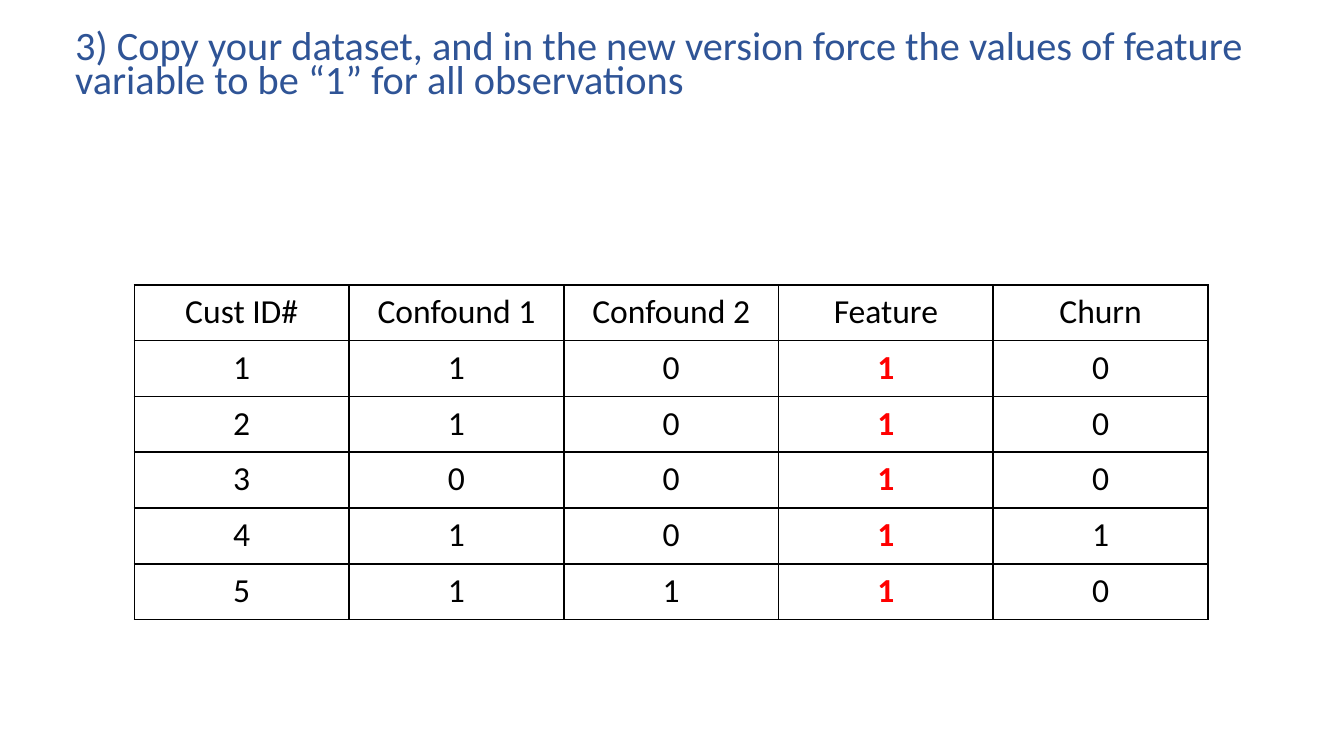
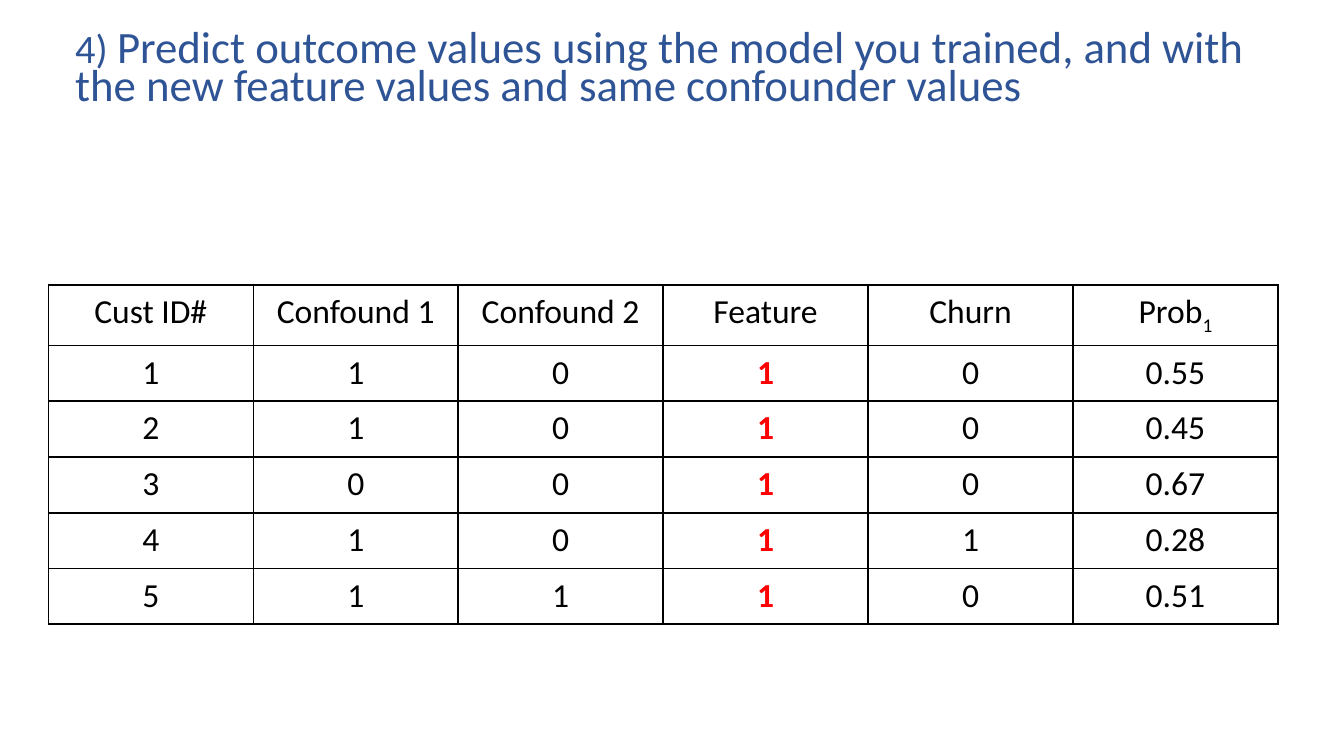
from lxml import etree
from pptx import Presentation
from pptx import util as u
from pptx.dml.color import RGBColor
from pptx.enum import text
from pptx.oxml import ns

# Shared style
SLIDE_WIDTH = 10
SLIDE_HEIGHT = SLIDE_WIDTH * 9 / 16
FONT = "Calibri"
TITLE_BLUE = "2F5496"
BLACK = "000000"
RED = "FF0000"
TITLE_SIZE = 21.6
CELL_SIZE = 18
BORDER_WIDTH = 0.96
TABLE_TOP = 2.12
ROW_HEIGHT = 2.49 / 6

# Data shared by both tables
HEADINGS = ["Cust ID#", "Confound 1", "Confound 2", "Feature", "Churn"]
CUSTOMERS = [
    ["1", "1", "0", "1", "0"],
    ["2", "1", "0", "1", "0"],
    ["3", "0", "0", "1", "0"],
    ["4", "1", "0", "1", "1"],
    ["5", "1", "1", "1", "0"],
]
FEATURE_COLUMN = HEADINGS.index("Feature")
PROBABILITIES = ["0.55", "0.45", "0.67", "0.28", "0.51"]


def colour(value):
    return RGBColor.from_string(value)


def add_span(para, words, size=CELL_SIZE, color=BLACK, bold=False, baseline=0):
    span = para.add_run()
    span.text = words
    span.font.name = FONT
    span.font.size = u.Pt(size)
    span.font.bold = bold
    span.font.color.rgb = colour(color)
    if baseline:
        span._r.get_or_add_rPr().set("baseline", str(baseline * 1000))
    return span


def add_title(page, *parts):
    """Each part is a pair of words and text size."""
    box = page.shapes.add_textbox(
        u.Inches(0.49), u.Inches(0.18), u.Inches(9.27), u.Inches(0.61))
    frame = box.text_frame
    frame.word_wrap = True
    frame.margin_left = frame.margin_right = u.Inches(0.07)
    frame.margin_top = frame.margin_bottom = u.Inches(0.07)
    para = frame.paragraphs[0]
    para.line_spacing = 0.7
    for words, size in parts:
        add_span(para, words, size=size, color=TITLE_BLUE)


def add_borders(cell):
    properties = cell._tc.get_or_add_tcPr()
    for index, side in enumerate(("lnL", "lnR", "lnT", "lnB")):
        line = etree.Element(ns.qn(f"a:{side}"), w=str(u.Pt(BORDER_WIDTH)))
        fill = etree.SubElement(line, ns.qn("a:solidFill"))
        etree.SubElement(fill, ns.qn("a:srgbClr"), val=BLACK)
        properties.insert(index, line)


def fill_cell(cell, words, subscript="", **style):
    cell.fill.background()
    cell.margin_left = cell.margin_right = u.Inches(0.07)
    cell.margin_top = cell.margin_bottom = u.Inches(0.05)
    para = cell.text_frame.paragraphs[0]
    para.alignment = text.PP_ALIGN.CENTER
    add_span(para, words, **style)
    if subscript:
        add_span(para, subscript, baseline=-25, **style)
    add_borders(cell)


def add_customer_table(page, left, width, height, headings, rows,
                       header_height=ROW_HEIGHT):
    """A heading may be a pair of words and subscript."""
    row_heights = [header_height] + [ROW_HEIGHT] * len(rows)
    holder = page.shapes.add_table(
        len(row_heights), len(headings), u.Inches(left), u.Inches(TABLE_TOP),
        u.Inches(width), u.Inches(height))
    table = holder.table
    table.first_row = table.horz_banding = False
    for column in table.columns:
        column.width = u.Inches(width / len(headings))
    for row, row_height in zip(table.rows, row_heights):
        row.height = u.Inches(row_height)
    holder.height = u.Inches(height)

    for c, heading in enumerate(headings):
        parts = (heading,) if isinstance(heading, str) else heading
        fill_cell(table.cell(0, c), *parts)
    for r, values in enumerate(rows, start=1):
        for c, value in enumerate(values):
            forced = c == FEATURE_COLUMN
            fill_cell(table.cell(r, c), value,
                      color=RED if forced else BLACK, bold=forced)


def main():
    deck = Presentation()
    deck.slide_width = u.Inches(SLIDE_WIDTH)
    deck.slide_height = u.Inches(SLIDE_HEIGHT)
    blank = deck.slide_layouts[6]

    # Step 3: force the feature to 1
    page = deck.slides.add_slide(blank)
    add_title(page, ("3) Copy your dataset, and in the new version force the values "
                     "of feature variable to be “1” for all observations", TITLE_SIZE))
    add_customer_table(page, 1, 7.99, 2.35, HEADINGS, CUSTOMERS)

    # Step 4: predict with the forced feature
    page = deck.slides.add_slide(blank)
    add_title(page, ("4) ", TITLE_SIZE),
              ("Predict outcome values using the model you trained, and with the new "
               "feature values and same confounder values", 24))
    predicted = [row + [chance] for row, chance in zip(CUSTOMERS, PROBABILITIES)]
    add_customer_table(page, 0.36, 9.15, 2.39, HEADINGS + [("Prob", "1")], predicted,
                       header_height=0.45)

    deck.save("out.pptx")


if __name__ == "__main__":
    main()
